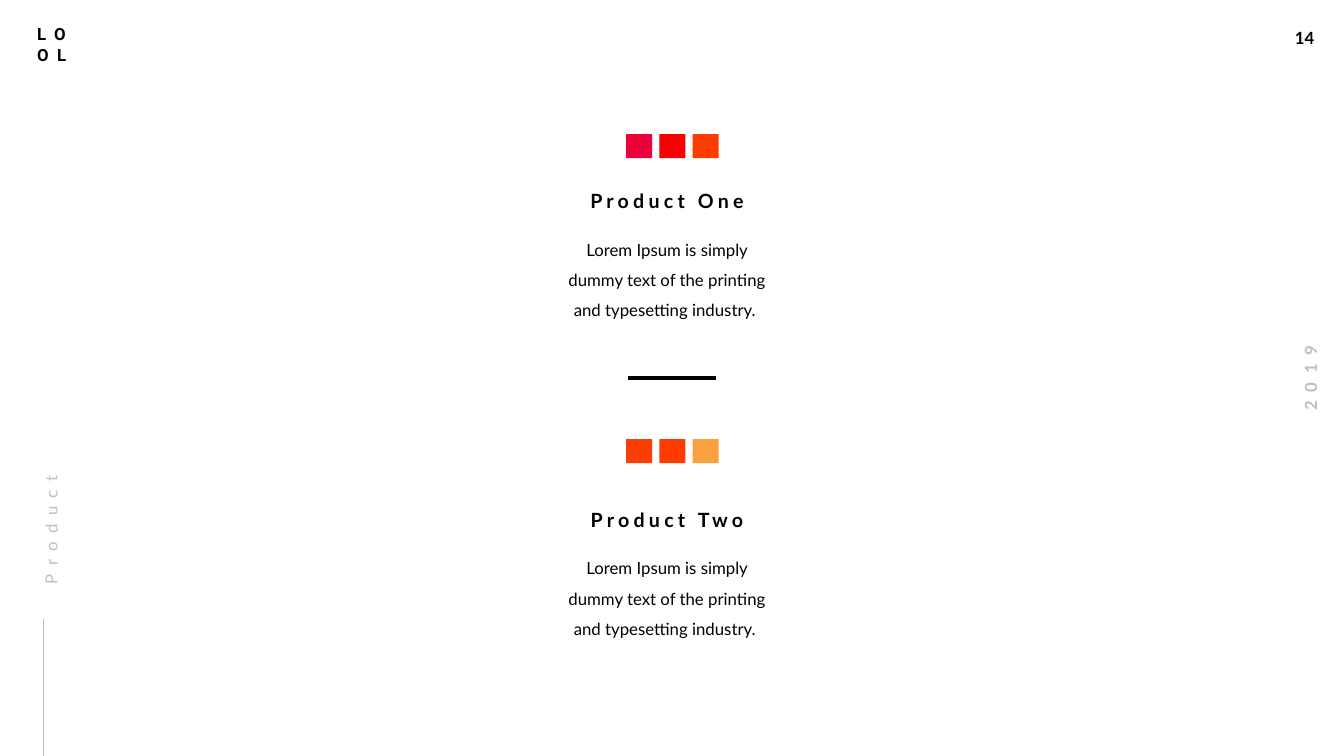
"""Build a product slide with two stacked product blocks and side labels."""
import pptx
import pptx.dml.color
import pptx.enum.shapes
import pptx.enum.text
import pptx.oxml.ns
import pptx.util
from lxml import etree

Pt = pptx.util.Pt
ALIGN = pptx.enum.text.PP_ALIGN
COLORS = {
    "text": "000000", "muted": "BFBFBF", "crimson": "EB003A", "red": "F80001",
    "orange": "FE3C00", "vermilion": "FB3E03", "amber": "FAA03E",
}
SLIDE_WIDTH, SLIDE_HEIGHT = 960, 540
DEFAULT_INSETS = (7.2, 3.6, 7.2, 3.6)
TIGHT_INSETS = (0, 0, 7.2, 0)
DESCRIPTION = "Lorem Ipsum is simply dummy text of the printing and typesetting industry. "


def color(name):
    """Return the named colour."""
    return pptx.dml.color.RGBColor.from_string(COLORS[name])


def add_text(slide, box, text, size=12, font="Lato", fill="text", bold=False, tracking=0,
             align=ALIGN.LEFT, line_spacing=1.0, insets=DEFAULT_INSETS, rotation=0, wrap=True):
    """Add a text box with one uniform run style."""
    shape = slide.shapes.add_textbox(*map(Pt, box))
    shape.rotation = rotation
    frame = shape.text_frame
    frame.word_wrap = wrap
    frame.margin_left, frame.margin_top, frame.margin_right, frame.margin_bottom = map(Pt, insets)
    frame.text = text
    for paragraph in frame.paragraphs:
        paragraph.alignment = align
        paragraph.line_spacing = line_spacing
        for run in paragraph.runs:
            run.font.name, run.font.size, run.font.bold = font, Pt(size), bold
            run.font.color.rgb = color(fill)
            run._r.get_or_add_rPr().set("spc", str(tracking * 100))


def add_line(slide, start, end, fill, width):
    """Add a straight line without a shadow."""
    connector = slide.shapes.add_connector(
        pptx.enum.shapes.MSO_CONNECTOR.STRAIGHT, *map(Pt, start + end))
    connector.line.color.rgb = color(fill)
    connector.line.width = Pt(width)
    etree.SubElement(connector._element.spPr, pptx.oxml.ns.qn("a:effectLst"))


def add_swatches(slide, box, names):
    """Fill the box with equally spaced colour swatches."""
    left, top, width, height = box
    swatch_width = 18.7
    pitch = (width - swatch_width) / (len(names) - 1)
    for index, name in enumerate(names):
        swatch = slide.shapes.add_shape(
            pptx.enum.shapes.MSO_SHAPE.RECTANGLE,
            Pt(left + index * pitch), Pt(top), Pt(swatch_width), Pt(height))
        swatch.shadow.inherit = False
        swatch.fill.solid()
        swatch.fill.fore_color.rgb = color(name)
        swatch.line.fill.background()


def add_product(slide, box, title, swatches, title_offset, description_offset):
    """Add swatches, title and description inside the box."""
    left, top, width, height = box
    add_swatches(slide, (left + 51.8, top, 66.2, 17.2), swatches)
    add_text(slide, (left, top + title_offset, width, 17.3), title, size=14, bold=True,
             tracking=3, align=ALIGN.CENTER, insets=TIGHT_INSETS)
    add_text(slide, (left + 6.5, top + description_offset, width - 13, height - description_offset),
             DESCRIPTION, align=ALIGN.CENTER, line_spacing=1.5, insets=TIGHT_INSETS)


def add_left_margin(slide, box):
    """Add the monogram, the vertical section label and its rule."""
    left, top, width, height = box
    label_width, label_height = 133.2, 18.72
    add_text(slide, (left + 19.4, top + 13.7, 42.5, 36), "LO\nOL", font="Roboto",
             bold=True, tracking=6)
    add_text(slide, (left + (width - label_width) / 2, top + 341.3, label_width, label_height),
             "Product", fill="muted", tracking=6, line_spacing=1.5,
             insets=TIGHT_INSETS, rotation=270)
    add_line(slide, (left + 31, top + height), (left + 31, top + 442), "muted", 0.5)


def add_right_margin(slide, box):
    """Add the page number and the vertical year."""
    left, top, width, height = box
    add_text(slide, (left + 17.8, top + 16.2, 29.5, 21.6), "14", bold=True, wrap=False)
    add_text(slide, (left + 2.6, top + (height - 21.6) / 2, 67, 21.6), "2019", fill="muted",
             bold=True, tracking=6, align=ALIGN.CENTER, rotation=270, wrap=False)


def add_product_column(slide, box):
    """Add both products and the divider between them."""
    left, top, width, height = box
    add_product(slide, (left, top, width, 130.3), "Product One",
                ("crimson", "red", "orange"), 39.2, 68)
    add_line(slide, (left + 53.3, top + 174.2), (left + 116.3, top + 174.2), "text", 2.25)
    add_product(slide, (left, top + 217.9, width, height - 217.9), "Product Two",
                ("vermilion", "orange", "amber"), 49.3, 77.7)


def main():
    """Build and save the presentation."""
    presentation = pptx.Presentation()
    presentation.slide_width, presentation.slide_height = Pt(SLIDE_WIDTH), Pt(SLIDE_HEIGHT)
    slide = presentation.slides.add_slide(presentation.slide_layouts[6])
    add_right_margin(slide, (900, 0, 60, SLIDE_HEIGHT))
    add_left_margin(slide, (0, 0, 62.6, SLIDE_HEIGHT))
    add_product_column(slide, (395.4, 95.8, 169.2, 358.5))
    presentation.save("out.pptx")


main()
